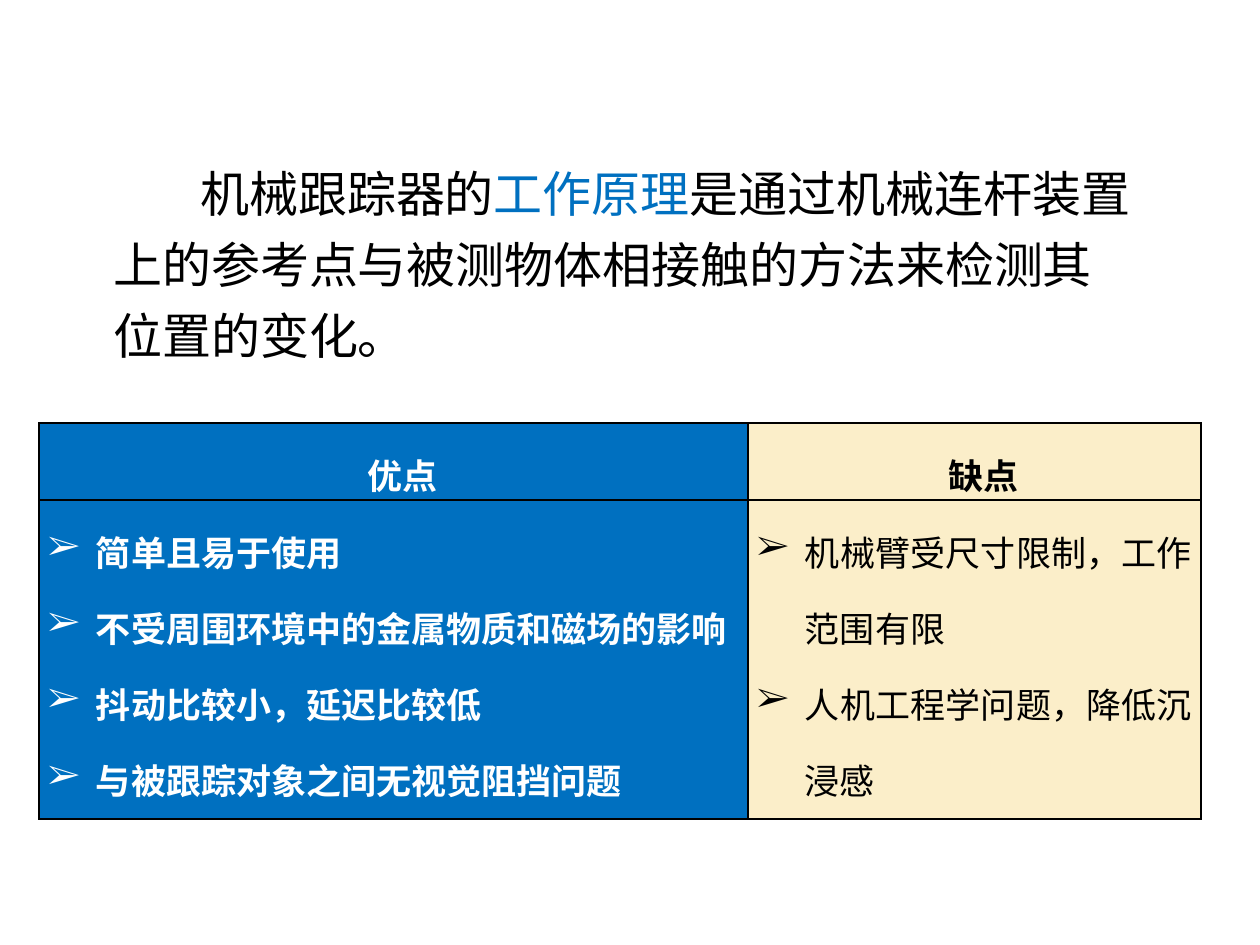
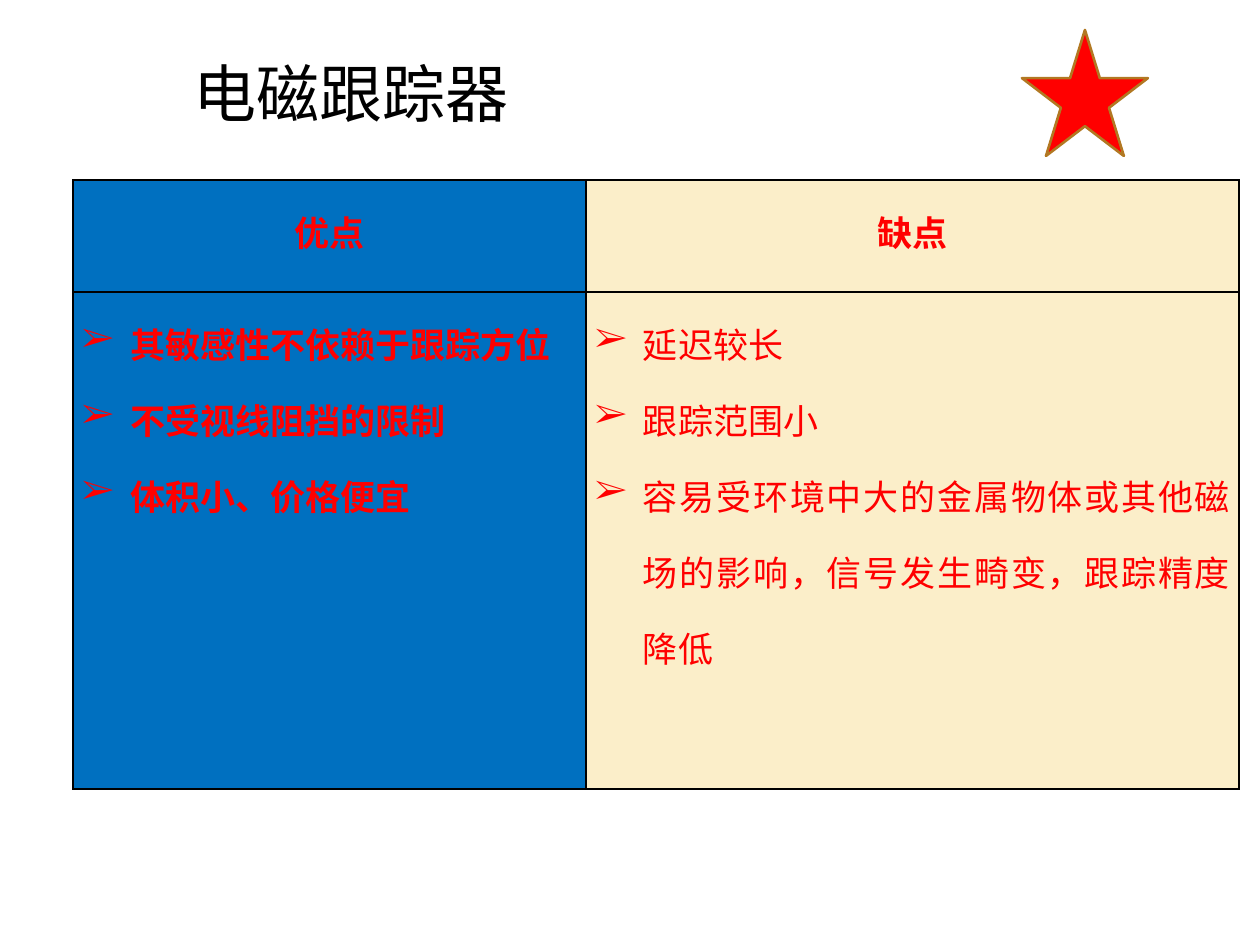
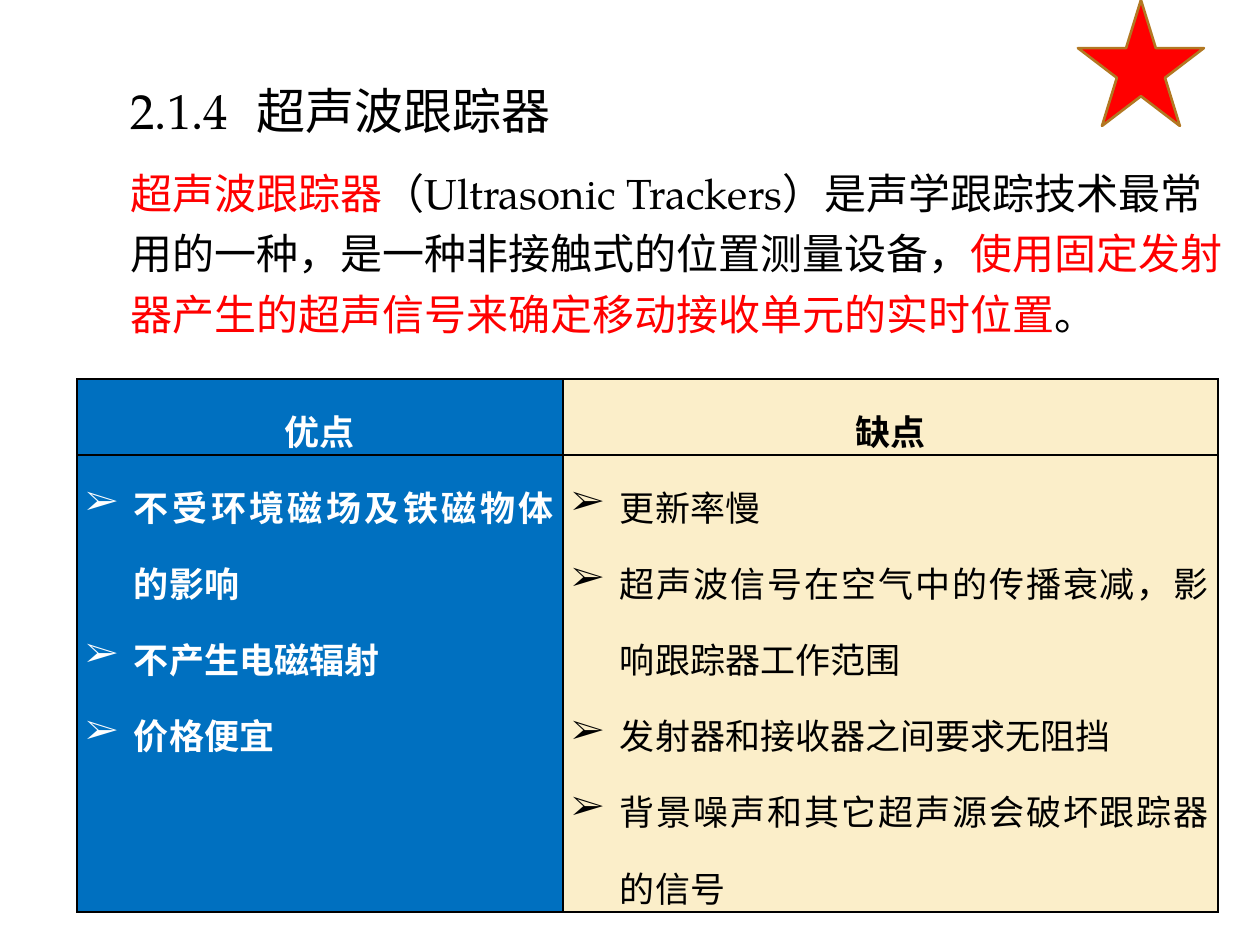
from lxml import etree
from pptx import Presentation, util as u
from pptx.dml.color import RGBColor
from pptx.enum import shapes, text
from pptx.oxml.ns import qn

PX = 914400 / 126
FONT = "TeX Gyre Pagella"
BLACK = RGBColor(0x00, 0x00, 0x00)
WHITE = RGBColor(0xFF, 0xFF, 0xFF)
RED = RGBColor(0xFF, 0x00, 0x00)
BLUE = RGBColor(0x00, 0x70, 0xC0)
CREAM = RGBColor(0xFB, 0xEE, 0xC9)
BRONZE = RGBColor(0xB2, 0x78, 0x22)
LEFT, CENTER, JUSTIFY = text.PP_ALIGN.LEFT, text.PP_ALIGN.CENTER, text.PP_ALIGN.JUSTIFY
HEADERS = ("优点", "缺点")
HANG = 48


def px(n):
    return u.Emu(round(n * PX))


def add_run(p, words, size, color, bold=False):
    r = p.add_run()
    r.text = words
    for name, value in dict(name=FONT, size=u.Pt(size), bold=bold).items():
        setattr(r.font, name, value)
    r.font.color.rgb = color


# Paragraphs: (size, space before, first-line indent, tab stop, runs)
SLIDES = [
    dict(
        box=(101, 146, 1048, 684), line_spacing=1.2,
        paragraphs=[
            (28, 0, 87, None, [
                ("机械跟踪器的", BLACK),
                ("工作原理", BLUE),
                ("是通过机械连杆装置上的参考点与被测物体相接触的方法来检测其位置的变化。", BLACK)]),
        ],
        table=(39, 423), cols=(709, 453), rows=(77, 319), header_indent=18,
        aligns=(LEFT, JUSTIFY), colors=(WHITE, BLACK),
        points=(
            ["简单且易于使用", "不受周围环境中的金属物质和磁场的影响",
             "抖动比较小，延迟比较低", "与被跟踪对象之间无视觉阻挡问题"],
            ["机械臂受尺寸限制，工作范围有限", "人机工程学问题，降低沉浸感"]),
        star=None,
    ),
    dict(
        box=(181, 48, 651, 165), line_spacing=1.0,
        paragraphs=[(36, 0, 0, None, [("电磁跟踪器", BLACK)])],
        table=(73, 180), cols=(513, 653), rows=(112, 497), header_indent=0,
        aligns=(JUSTIFY, JUSTIFY), colors=(RED, RED),
        points=(
            ["其敏感性不依赖于跟踪方位", "不受视线阻挡的限制", "体积小、价格便宜"],
            ["延迟较长", "跟踪范围小",
             "容易受环境中大的金属物体或其他磁场的影响，信号发生畸变，跟踪精度降低"]),
        star=(1022, 30),
    ),
    dict(
        box=(118, 63, 1118, 388), line_spacing=1.2,
        paragraphs=[
            (28, 0, 0, 141, [("2.1.4\t超声波跟踪器", BLACK)]),
            (24, 10, 0, None, [
                ("超声波跟踪器", RED),
                ("（Ultrasonic Trackers）是声学跟踪技术最常用的一种，"
                 "是一种非接触式的位置测量设备，", BLACK),
                ("使用固定发射器产生的超声信号来确定移动接收单元的实时位置", RED),
                ("。", BLACK)]),
        ],
        table=(77, 379), cols=(486, 655), rows=(76, 457), header_indent=0,
        aligns=(JUSTIFY, JUSTIFY), colors=(WHITE, BLACK),
        points=(
            ["不受环境磁场及铁磁物体的影响", "不产生电磁辐射", "价格便宜"],
            ["更新率慢", "超声波信号在空气中的传播衰减，影响跟踪器工作范围",
             "发射器和接收器之间要求无阻挡", "背景噪声和其它超声源会破坏跟踪器的信号"]),
        star=(1078, 0),
    ),
]

prs = Presentation()
prs.slide_width, prs.slide_height = px(1260), px(945)

for item in SLIDES:
    s = prs.slides.add_slide(prs.slide_layouts[6])

    # Heading and description
    tf = s.shapes.add_textbox(*map(px, item["box"])).text_frame
    tf.word_wrap = True
    for i, (size, before, indent, tab, runs) in enumerate(item["paragraphs"]):
        p = tf.add_paragraph() if i else tf.paragraphs[0]
        p.line_spacing = item["line_spacing"]
        p.space_before = u.Pt(before)
        pPr = p._p.get_or_add_pPr()
        pPr.set("indent", str(px(indent)))
        if tab:
            tabs = etree.SubElement(pPr, qn("a:tabLst"))
            etree.SubElement(tabs, qn("a:tab"), pos=str(px(tab)), algn="l")
        for words, color in runs:
            add_run(p, words, size, color)

    # Advantages and drawbacks
    cols, rows = item["cols"], item["rows"]
    frame = s.shapes.add_table(2, 2, *map(px, (*item["table"], sum(cols), sum(rows))))
    table = frame.table
    for i in range(2):
        table.columns[i].width = px(cols[i])
        table.rows[i].height = px(rows[i])
    for row in range(2):
        for col, fill in enumerate((BLUE, CREAM)):
            cell = table.cell(row, col)
            margins = dict(margin_left=px(9), margin_right=px(9), margin_top=0, margin_bottom=0)
            for name, value in margins.items():
                setattr(cell, name, value)
            tcPr = cell._tc.get_or_add_tcPr()
            for side in ("lnL", "lnR", "lnT", "lnB"):
                ln = etree.SubElement(tcPr, qn(f"a:{side}"), w=str(u.Pt(1)))
                solid = etree.SubElement(ln, qn("a:solidFill"))
                etree.SubElement(solid, qn("a:srgbClr"), val=str(BLACK))
            cell.fill.solid()
            cell.fill.fore_color.rgb = fill

            lines = item["points"][col] if row else [HEADERS[col]]
            for i, words in enumerate(lines):
                p = cell.text_frame.add_paragraph() if i else cell.text_frame.paragraphs[0]
                p.line_spacing = 1.5
                p.alignment = item["aligns"][col] if row else CENTER
                pPr = p._p.get_or_add_pPr()
                if row:
                    pPr.set("marL", str(px(HANG)))
                    pPr.set("indent", str(px(-HANG)))
                    etree.SubElement(pPr, qn("a:buFont"), typeface=FONT)
                    etree.SubElement(pPr, qn("a:buChar"), char="➢")
                else:
                    pPr.set("indent", str(px(item["header_indent"])))
                add_run(p, words, 20, item["colors"][col], bold=row == 0 or col == 0)

    if item["star"]:
        sp = s.shapes.add_shape(shapes.MSO_SHAPE.STAR_5_POINT, *map(px, (*item["star"], 126, 126)))
        sp.shadow.inherit = False
        sp.fill.solid()
        sp.fill.fore_color.rgb = RED
        sp.line.color.rgb = BRONZE
        sp.line.width = u.Pt(1.5)

prs.save("out.pptx")
